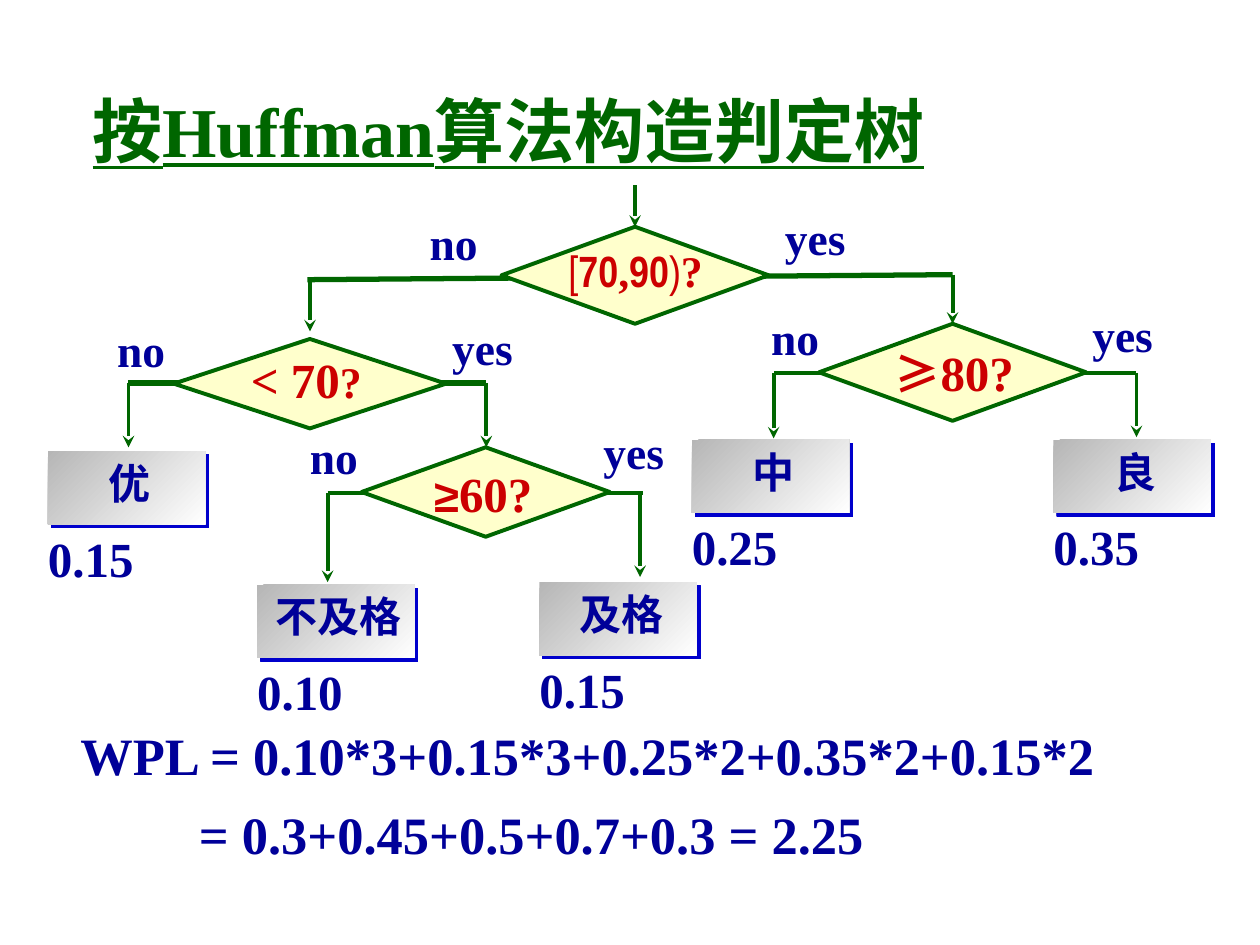
"""Build the slide that derives a Huffman decision tree and its weighted path length."""
from lxml.etree import SubElement
from pptx import Presentation
from pptx.dml.color import RGBColor
from pptx.enum.shapes import MSO_CONNECTOR, MSO_SHAPE
from pptx.enum.text import MSO_ANCHOR, PP_ALIGN
from pptx.oxml import parse_xml
from pptx.oxml.ns import nsdecls, qn
from pptx.util import Inches, Pt

GREEN, NAVY, RED, CREAM = "006600", "000099", "CC0000", "FFFFCC"
SERIF, NARROW, CJK = "Times New Roman", "Arial Narrow", "Noto Sans CJK SC"
GRADIENT = f"""<a:gradFill {nsdecls('a')} rotWithShape="1"><a:gsLst>
<a:gs pos="0"><a:srgbClr val="FFFFFF"><a:shade val="46275"/></a:srgbClr></a:gs>
<a:gs pos="100000"><a:srgbClr val="FFFFFF"/></a:gs>
</a:gsLst><a:lin ang="2700000" scaled="1"/></a:gradFill>"""
SHADOW = f"""<a:effectLst {nsdecls('a')}><a:outerShdw dist="35921" dir="2700000" algn="ctr" rotWithShape="0">
<a:srgbClr val="0000CC"/></a:outerShdw></a:effectLst>"""


def rgb(value):
    return RGBColor.from_string(value)


def add_text(shapes, box, paragraphs, align=PP_ALIGN.CENTER, wrap=False):
    sp = shapes.add_textbox(*map(Inches, box))
    tf = sp.text_frame
    tf.word_wrap = wrap
    tf.vertical_anchor = MSO_ANCHOR.MIDDLE
    for i, runs in enumerate(paragraphs):
        p = tf.add_paragraph() if i else tf.paragraphs[0]
        p.alignment = align
        for text, size, color, font, formats in runs:
            r = p.add_run()
            r.text = text
            values = {"size": Pt(size), "name": font, "bold": True, **formats}
            for name, value in values.items():
                setattr(r.font, name, value)
            r.font.color.rgb = rgb(color)
            SubElement(r.font._element, qn("a:ea")).set("typeface", CJK)
    return tf


prs = Presentation()
prs.slide_width, prs.slide_height = Inches(10), Inches(7.5)
s = prs.slides.add_slide(prs.slide_layouts[6])

add_text(s.shapes, (0.6, 0.64, 6.87, 0.77),
         [[("按Huffman算法构造判定树", 40, GREEN, SERIF, {"underline": True})]], wrap=True)

branches = [
    (7.56, 2.18, 2.44, 2.22, 3), (3.86, 3.04, 1.02, 3.04, 3),
    (9.02, 2.96, 6.14, 2.96, 2.25), (2.6, 3.91, 5.1, 3.91, 2.25),
]
arrows = [
    (5.04, 1.47, 1.8), (2.46, 2.22, 2.63), (7.56, 2.18, 2.57), (1.02, 3.04, 3.55),
    (3.86, 3.04, 3.55), (6.14, 2.96, 3.48), (9.02, 2.96, 3.47), (2.6, 3.91, 4.62),
    (5.08, 3.91, 4.58),
]
lines = [(*b, False) for b in branches] + [(x, y1, x, y2, 2.25, True) for x, y1, y2 in arrows]
for x1, y1, x2, y2, width, arrow in lines:
    c = s.shapes.add_connector(MSO_CONNECTOR.STRAIGHT, *map(Inches, (x1, y1, x2, y2)))
    c.line.color.rgb = rgb(GREEN)
    c.line.width = Pt(width)
    if arrow:
        SubElement(c.line._get_or_add_ln(), qn("a:tailEnd")).set("type", "stealth")
    SubElement(c._element.spPr, qn("a:effectLst"))

decisions = [
    ((3.98, 1.8, 2.12, 0.77), (4.41, 1.88, 1.27, 0.52), [
        ("[", 25, RED, NARROW, {"bold": False}), ("70", 25, RED, NARROW, {}),
        (",", 25, RED, SERIF, {}), ("90", 25, RED, NARROW, {}),
        (")", 25, RED, NARROW, {"bold": False}), ("?", 25, RED, SERIF, {})]),
    ((6.5, 2.57, 2.12, 0.77), (7, 2.67, 1.15, 0.57),
     [("≥", 26, RED, CJK, {}), ("80?", 28, RED, SERIF, {})]),
    ((1.38, 2.69, 2.16, 0.71), (1.89, 2.72, 1.08, 0.57),
     [("< 70", 28, RED, SERIF, {}), ("?", 25, RED, SERIF, {})]),
    ((2.87, 3.55, 1.97, 0.71), (3.26, 3.63, 1.15, 0.57),
     [("≥", 26, RED, "Arial", {}), ("60?", 28, RED, SERIF, {})]),
]
for diamond, label, runs in decisions:
    sp = s.shapes.add_shape(MSO_SHAPE.FLOWCHART_DECISION, *map(Inches, diamond))
    sp.shadow.inherit = False
    sp.fill.solid()
    sp.fill.fore_color.rgb = rgb(CREAM)
    sp.line.color.rgb = rgb(GREEN)
    sp.line.width = Pt(2.25)
    add_text(s.shapes, label, [runs])

leaves = [
    ("优", "0.15", 0.38, 3.58), ("中", "0.25", 5.49, 3.49), ("良", "0.35", 8.36, 3.49),
    ("不及格", "0.10", 2.04, 4.64), ("及格", "0.15", 4.28, 4.62),
]
for grade, weight, x, y in leaves:
    shapes = s.shapes.add_group_shape().shapes
    sp = shapes.add_shape(MSO_SHAPE.RECTANGLE, *map(Inches, (x, y, 1.25, 0.58)))
    sp.line.fill.background()
    sp._element.spPr.insert(2, parse_xml(GRADIENT))
    sp._element.spPr.append(parse_xml(SHADOW))
    width = 0.2 + len(grade) / 3
    add_text(shapes, (x + 0.65 - width / 2, y, width, 0.5), [[(grade, 24, NAVY, SERIF, {})]])
    add_text(shapes, (x - 0.1, y + 0.56, 0.88, 0.57), [[(weight, 28, NAVY, SERIF, {})]])

answers = {
    "no": (0.58, [(3.31, 1.66), (0.83, 2.51), (6.02, 2.41), (2.36, 3.36)]),
    "yes": (0.68, [(6.13, 1.62), (3.49, 2.49), (8.57, 2.39), (4.69, 3.32)]),
}
for answer, (width, places) in answers.items():
    for x, y in places:
        add_text(s.shapes, (x, y, width, 0.53), [[(answer, 26, NAVY, SERIF, {})]])

sums = ["WPL = 0.10*3+0.15*3+0.25*2+0.35*2+0.15*2", "= 0.3+0.45+0.5+0.7+0.3 = 2.25"]
tf = add_text(s.shapes, (0.54, 5.68, 8.28, 1.24),
              [[(text, 30, NAVY, SERIF, {})] for text in sums], PP_ALIGN.LEFT)
for p in tf.paragraphs:
    p.space_before = Pt(9)
tf.paragraphs[1]._p.get_or_add_pPr().set("marL", str(Inches(0.94)))

prs.save("out.pptx")
